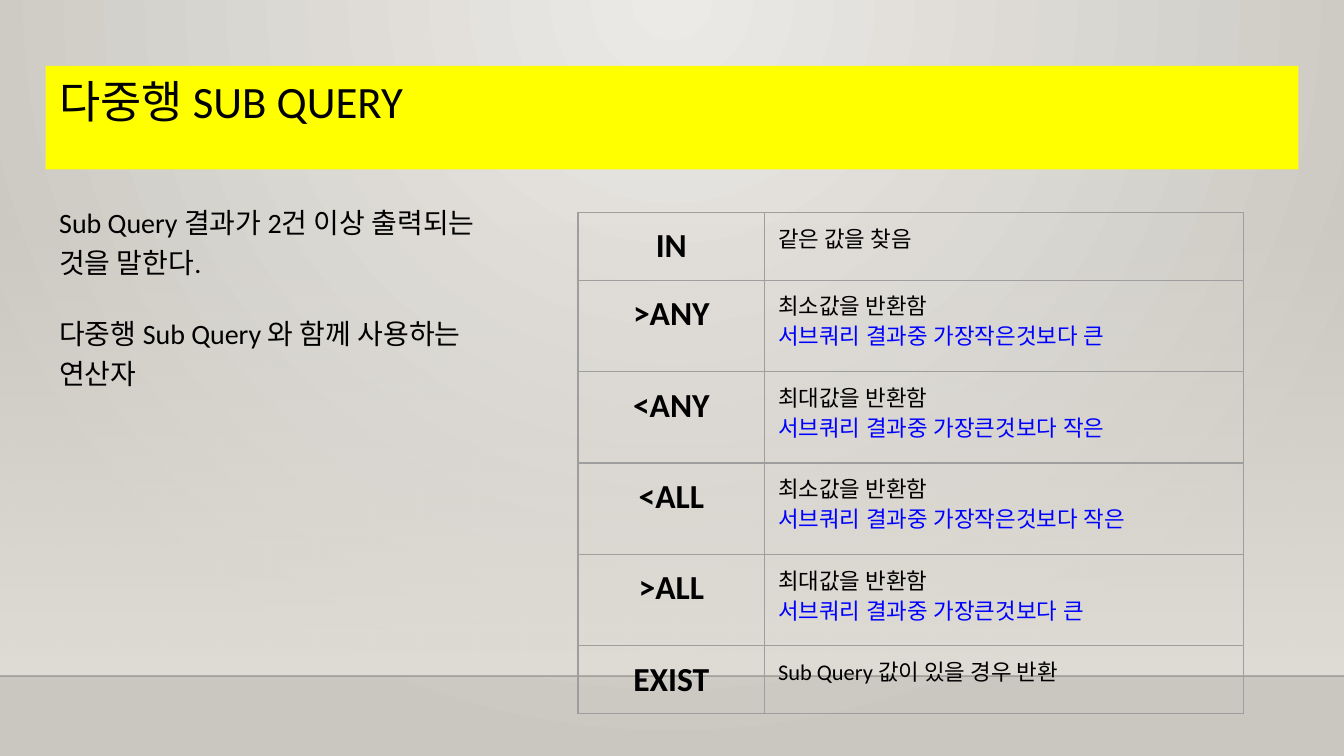
from pptx import Presentation
from pptx.dml.color import RGBColor
from pptx.enum.shapes import MSO_CONNECTOR, MSO_SHAPE
from pptx.enum.text import MSO_ANCHOR, MSO_AUTO_SIZE, PP_ALIGN
from pptx.oxml import parse_xml
from pptx.oxml.ns import nsdecls, qn
from pptx.util import Inches, Pt
from lxml.etree import SubElement

# Content
TITLE = "다중행 SUB QUERY"
STATEMENTS = [
    "Sub Query 결과가 2건 이상 출력되는 것을 말한다.",
    "다중행 Sub Query 와 함께 사용하는 연산자",
]
OPERATORS = [
    ("IN", ["같은 값을 찾음"]),
    (">ANY", ["최소값을 반환함", "서브쿼리 결과중 가장작은것보다 큰"]),
    ("<ANY", ["최대값을 반환함", "서브쿼리 결과중 가장큰것보다 작은"]),
    ("<ALL", ["최소값을 반환함", "서브쿼리 결과중 가장작은것보다 작은"]),
    (">ALL", ["최대값을 반환함", "서브쿼리 결과중 가장큰것보다 큰"]),
    ("EXIST", ["Sub Query 값이 있을 경우 반환"]),
]
COLORS = {
    "text": "000000", "detail": "0000FF", "title_fill": "FFFF00",
    "border": "9E9E9E", "glow": "ECEAE7", "edge": "CAC7C1",
    "band": "DFDBD5", "floor": "000001",
}
SLIDE_WIDTH = Inches(10)
SLIDE_HEIGHT = SLIDE_WIDTH * 9 // 16
MARGIN = Inches(0.1)
COLUMN_WIDTHS = [1.39, 3.56]
ROW_HEIGHTS = {1: 0.5, 2: 0.68}
BAND_TOP, FLOOR_TOP = 1.66, 5.03


def gradient(stops, direction):
    stop_xml = "".join(
        f'<a:gs pos="{position * 1000}"><a:srgbClr val="{COLORS[color]}">'
        f'<a:alpha val="{alpha * 1000}"/></a:srgbClr></a:gs>'
        for position, color, alpha in stops)
    return parse_xml(f'<a:gradFill {nsdecls("a")} rotWithShape="1">'
                     f'<a:gsLst>{stop_xml}</a:gsLst>{direction}</a:gradFill>')


def replace_fill(fill, parent, new_fill):
    fill.solid()
    old_fill = parent.find(".//{*}solidFill")
    old_fill.getparent().replace(old_fill, new_fill)


def write(paragraph, text, size, color="text", font="Calibri", bold=False,
          align=PP_ALIGN.LEFT, spacing=1.0, before=0):
    paragraph.alignment = align
    paragraph.line_spacing = spacing
    paragraph.space_before = Pt(before)
    run = paragraph.add_run()
    run.text = text
    run.font.size = Pt(size)
    run.font.name = font
    run.font.bold = bold
    run.font.color.rgb = RGBColor.from_string(COLORS[color])
    # Hangul takes its typeface from the East Asian font
    SubElement(run._r.get_or_add_rPr(), qn("a:ea")).set("typeface", font)


def place(shape, left, top, width, height):
    shape.left, shape.top = Inches(left), Inches(top)
    shape.width, shape.height = Inches(width), Inches(height)
    frame = shape.text_frame
    frame.margin_left = frame.margin_right = MARGIN
    frame.margin_top = frame.margin_bottom = MARGIN
    frame.vertical_anchor = MSO_ANCHOR.TOP
    frame.auto_size = MSO_AUTO_SIZE.NONE
    frame.word_wrap = True
    return frame


def add_paragraph(frame, index):
    return frame.add_paragraph() if index else frame.paragraphs[0]


def add_borders(cell):
    properties = cell._tc.get_or_add_tcPr()
    for position, side in enumerate(("lnL", "lnR", "lnT", "lnB")):
        properties.insert(position, parse_xml(
            f'<a:{side} {nsdecls("a")} w="{Pt(0.75)}"><a:solidFill>'
            f'<a:srgbClr val="{COLORS["border"]}"/></a:solidFill></a:{side}>'))


presentation = Presentation()
presentation.slide_width, presentation.slide_height = SLIDE_WIDTH, SLIDE_HEIGHT
slide = presentation.slides.add_slide(presentation.slide_layouts[2])

# Backdrop: radial glow, fading band and floor line
replace_fill(slide.background.fill, slide.element.cSld, gradient(
    [(0, "glow", 100), (100, "edge", 100)],
    '<a:path path="circle"><a:fillToRect l="43000" t="0" r="43000" b="100000"/></a:path>'))
band = slide.shapes.add_shape(
    MSO_SHAPE.RECTANGLE, 0, Inches(BAND_TOP), SLIDE_WIDTH, Inches(FLOOR_TOP - BAND_TOP))
band.shadow.inherit = False
band.line.fill.background()
replace_fill(band.fill, band.element.spPr, gradient(
    [(0, "band", 0), (100, "band", 100)], '<a:lin ang="5400000" scaled="0"/>'))

floor = slide.shapes.add_connector(
    MSO_CONNECTOR.STRAIGHT, 0, Inches(FLOOR_TOP), SLIDE_WIDTH, Inches(FLOOR_TOP))
floor.line.width = Pt(1)
floor.line.color.rgb = RGBColor.from_string(COLORS["floor"])
floor_color = floor.element.spPr.find(".//{*}srgbClr")
SubElement(floor_color, qn("a:alpha")).set("val", "20000")
SubElement(floor.element.spPr, qn("a:effectLst"))
for position, shape in enumerate((band, floor), start=2):
    slide.shapes.element.insert(position, shape.element)

# Title and statements
title, body = slide.placeholders
title.fill.solid()
title.fill.fore_color.rgb = RGBColor.from_string(COLORS["title_fill"])
title_frame = place(title, 0.34, 0.49, 9.32, 0.77)
write(title_frame.paragraphs[0], TITLE, 24, spacing=0.9)
body_frame = place(body, 0.34, 1.38, 3.66, 2.48)
for index, statement in enumerate(STATEMENTS):
    write(add_paragraph(body_frame, index), statement, 15,
          spacing=1.2, before=16 if index else 0)

# Operator table
heights = [ROW_HEIGHTS[len(lines)] for _, lines in OPERATORS]
table = slide.shapes.add_table(
    len(OPERATORS), len(COLUMN_WIDTHS), Inches(4.3), Inches(1.58),
    Inches(sum(COLUMN_WIDTHS)), Inches(sum(heights))).table
table.first_row = table.horz_banding = False
for column, width in zip(table.columns, COLUMN_WIDTHS):
    column.width = Inches(width)
for row, height, (operator, lines) in zip(table.rows, heights, OPERATORS):
    row.height = Inches(height)
    for cell in row.cells:
        cell.fill.background()
        cell.margin_left = cell.margin_right = MARGIN
        cell.margin_top = cell.margin_bottom = MARGIN
        add_borders(cell)
    name_cell, meaning_cell = row.cells
    write(name_cell.text_frame.paragraphs[0], operator, 18, bold=True,
          align=PP_ALIGN.CENTER)
    for index, line in enumerate(lines):
        write(add_paragraph(meaning_cell.text_frame, index), line, 12,
              color="detail" if index else "text",
              font="Open Sans" if index else "Calibri")

presentation.save("out.pptx")
